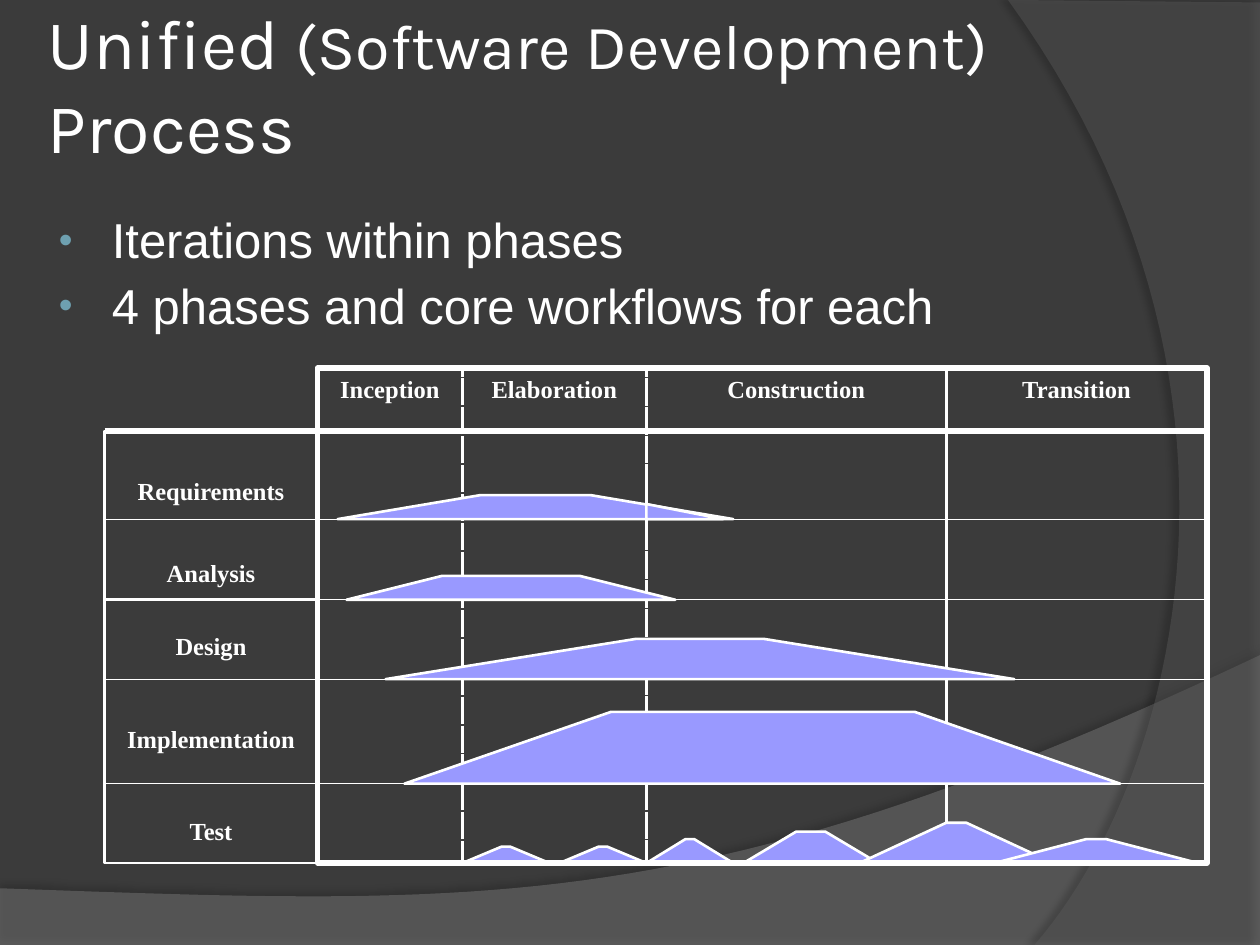
from lxml import etree
from pptx import Presentation
from pptx.dml.color import RGBColor
from pptx.enum.dml import MSO_LINE
from pptx.enum.shapes import MSO_CONNECTOR, MSO_SHAPE
from pptx.enum.text import MSO_ANCHOR, PP_ALIGN
from pptx.oxml.ns import qn
from pptx.util import Inches, Pt

RECTANGLE, TRIANGLE = MSO_SHAPE.RECTANGLE, MSO_SHAPE.RIGHT_TRIANGLE
STRAIGHT, LONG_DASH = MSO_CONNECTOR.STRAIGHT, MSO_LINE.LONG_DASH
MIDDLE, CENTER = MSO_ANCHOR.MIDDLE, PP_ALIGN.CENTER

THEME = {
    "background": "3B3B3B", "wave": "7F7F7F", "arc": "5E5E5E", "shadow": "000000",
    "ink": "FFFFFF", "bullet": "6EA0B0", "effort": "9999FF",
    "title_font": "Karla", "body_font": "Arial", "label_font": "Times New Roman",
    "title": 40, "title_small": 36, "body": 28, "label": 14,
    "hairline": 0.5, "line": 1.5, "frame": 3,
}

# Content
TITLE = [("Unified ", THEME["title"]),
         ("(Software Development) ", THEME["title_small"]),
         ("Process", THEME["title"])]
BULLETS = ["Iterations within phases", "4 phases and core workflows for each"]
PHASES = [("Inception", 1.15), ("Elaboration", 1.46),
          ("Construction", 2.38), ("Transition", 2.07)]
# Workflow boxes: names, top, bottom, inset above the text, gap between names
WORKFLOW_BOXES = [(["Requirements", "Analysis"], 3.42, 4.76, 0.36, 30),
                  (["Design", "Implementation", "Test"], 4.76, 6.85, 0.25, 36)]
ROW_BOTTOMS = [4.12, 4.76, 5.39, 6.22, 6.85]
# Effort humps: row, left foot, left shoulder, right shoulder, right foot, height
HUMPS = [
    (4, 5.9, 6.32, 6.55, 6.97, 0.25),
    (0, 2.68, 3.81, 4.69, 5.82, 0.19),
    (1, 2.75, 3.51, 4.6, 5.36, 0.19),
    (2, 3.06, 5.05, 6.06, 8.05, 0.32),
    (3, 3.21, 4.85, 7.26, 8.89, 0.57),
    (4, 3.67, 3.98, 4.05, 4.36, 0.13),
    (4, 4.44, 4.75, 4.82, 5.13, 0.13),
    (4, 5.13, 5.44, 5.51, 5.82, 0.19),
    (4, 6.82, 7.51, 7.67, 8.36, 0.32),
    (4, 7.89, 8.62, 8.78, 9.51, 0.19),
]
LABEL_LEFT, GRID_LEFT, GRID_RIGHT = 0.83, 2.52, 9.58
GRID_TOP, HEADER_BOTTOM, GRID_BOTTOM = 2.92, 3.42, 6.85


def color(name):
    return RGBColor.from_string(THEME[name])


def style(shape, fill=None, line=None, dash=None):
    shape.shadow.inherit = False
    if fill:
        shape.fill.solid()
        shape.fill.fore_color.rgb = color(fill)
    else:
        shape.fill.background()
    if line:
        shape.line.color.rgb = color("ink")
        shape.line.width = Pt(THEME[line])
        if dash:
            shape.line.dash_style = dash
    else:
        shape.line.fill.background()
    return shape


def add_box(slide, left, top, right, bottom, kind=RECTANGLE, **look):
    shape = slide.shapes.add_shape(kind, Inches(left), Inches(top),
                                   Inches(right - left), Inches(bottom - top))
    return style(shape, **look)


def add_outline(slide, points, **look):
    scaled = [(Inches(x), Inches(y)) for x, y in points]
    builder = slide.shapes.build_freeform(*scaled[0])
    builder.add_line_segments(scaled[1:], close=True)
    return style(builder.convert_to_shape(), **look)


def add_line(slide, start, end, width):
    line = slide.shapes.add_connector(STRAIGHT, *map(Inches, start + end))
    line.line.color.rgb = color("ink")
    line.line.width = Pt(THEME[width])
    etree.SubElement(line._element.spPr, qn("a:effectLst"))


def add_hump(slide, row, left, shoulder_left, shoulder_right, right, height):
    base = ROW_BOTTOMS[row]
    points = [(left, base), (shoulder_left, base - height),
              (shoulder_right, base - height), (right, base)]
    add_outline(slide, points, fill="effort", line="line")


def curve(start, control_1, control_2, end, steps=48):
    points = []
    for step in range(steps + 1):
        t = step / steps
        weights = ((1 - t) ** 3, 3 * t * (1 - t) ** 2, 3 * t * t * (1 - t), t ** 3)
        points.append(tuple(
            sum(w * p[axis] for w, p in zip(weights, (start, control_1, control_2, end)))
            for axis in (0, 1)))
    return points


def add_backdrop(slide, points, fill, opacity, shadow_opacity, distance, angle):
    shape = add_outline(slide, points, fill=fill)
    properties = shape._element.spPr
    fill_color = properties.find(qn("a:solidFill"))[0]
    etree.SubElement(fill_color, qn("a:alpha"), val=str(opacity * 1000))
    shadow = etree.SubElement(
        properties.find(qn("a:effectLst")), qn("a:outerShdw"), blurRad=str(Pt(4)),
        dist=str(Pt(distance)), dir=str(angle * 60000), algn="ctr", rotWithShape="0")
    shade = etree.SubElement(shadow, qn("a:srgbClr"), val=THEME["shadow"])
    etree.SubElement(shade, qn("a:alpha"), val=str(shadow_opacity * 1000))


def add_bullet(paragraph):
    properties = paragraph._p.get_or_add_pPr()
    properties.set("marL", str(Inches(0.46)))
    properties.set("indent", str(Inches(-0.42)))
    holder = etree.SubElement(properties, qn("a:buClr"))
    etree.SubElement(holder, qn("a:srgbClr"), val=THEME["bullet"])
    etree.SubElement(properties, qn("a:buSzPct"), val="80000")
    etree.SubElement(properties, qn("a:buFont"), typeface=THEME["body_font"])
    etree.SubElement(properties, qn("a:buChar"), char="•")


def write(shape, paragraphs, font, bold=False, align=None, anchor=MSO_ANCHOR.TOP, wrap=True,
          inset_top=0.05, inset_side=0.1, gap=0, spacing=None, bullets=False):
    """Each paragraph is a list of (text, size) runs."""
    frame = shape.text_frame
    frame.word_wrap, frame.vertical_anchor = wrap, anchor
    frame.margin_top = Inches(inset_top)
    frame.margin_left = frame.margin_right = Inches(inset_side)
    for index, runs in enumerate(paragraphs):
        paragraph = frame.add_paragraph() if index else frame.paragraphs[0]
        paragraph.alignment = align
        if spacing:
            paragraph.line_spacing = spacing
        if index and gap:
            paragraph.space_before = Pt(gap)
        if bullets:
            add_bullet(paragraph)
        for text, size in runs:
            run = paragraph.add_run()
            run.text = text
            run.font.name, run.font.size, run.font.bold = THEME[font], Pt(size), bold
            run.font.color.rgb = color("ink")


def write_labels(shape, names, **layout):
    write(shape, [[(name, THEME["label"])] for name in names], "label_font",
          bold=True, align=CENTER, wrap=False, **layout)


def main():
    presentation = Presentation()
    presentation.slide_width, presentation.slide_height = Inches(10), Inches(7.5)
    slide = presentation.slides.add_slide(presentation.slide_layouts[6])
    slide.background.fill.solid()
    slide.background.fill.fore_color.rgb = color("background")

    # Backdrop curves
    wave = curve((10, 5.2), (5.59, 7.29), (3.91, 7.19), (0, 7.05))
    add_backdrop(slide, wave + [(0, 7.5), (10, 7.5)], "wave", 45, 35, 3.5, 270)
    arc = curve((8.21, 7.5), (9.35, 6.19), (10.18, 3), (8, 0))
    add_backdrop(slide, arc + [(10, 0.02), (10, 7.5)], "arc", 40, 45, 4, 180)

    # Title and bullets
    title = slide.shapes.add_textbox(Inches(0.33), Inches(0.25), Inches(9.33), Inches(0.83))
    write(title, [TITLE], "title_font", anchor=MIDDLE, inset_side=0.05)
    body = slide.shapes.add_textbox(Inches(0.33), Inches(1.67), Inches(9.3), Inches(1.33))
    write(body, [[(text, THEME["body"])] for text in BULLETS], "body_font",
          gap=7, spacing=0.9, bullets=True)

    # Workflow names and row rules
    for names, top, bottom, inset, gap in WORKFLOW_BOXES:
        box = add_box(slide, LABEL_LEFT, top, GRID_LEFT, bottom, line="line")
        write_labels(box, names, inset_top=inset, gap=gap)
    for y in ROW_BOTTOMS:
        add_line(slide, (LABEL_LEFT, y), (GRID_RIGHT, y), "hairline")
    add_line(slide, (LABEL_LEFT, HEADER_BOTTOM), (GRID_RIGHT, HEADER_BOTTOM), "frame")

    # Phase columns, with the first hump behind them
    add_hump(slide, *HUMPS[0])
    left = GRID_LEFT
    for name, width in PHASES:
        column = add_box(slide, left, GRID_TOP, left + width, GRID_BOTTOM,
                         line="line", dash=LONG_DASH)
        write_labels(column, [name])
        left += width

    # Effort humps and outer frame
    for hump in HUMPS[1:]:
        add_hump(slide, *hump)
    add_box(slide, GRID_LEFT, GRID_TOP, GRID_RIGHT, GRID_BOTTOM, line="frame")

    # Requirements tail after the start of construction
    add_line(slide, (5.13, 3.87), (5.13, 4.25), "line")
    add_box(slide, 5.13, 4, 5.74, 4.12, kind=TRIANGLE, fill="effort", line="line")

    presentation.save("out.pptx")


if __name__ == "__main__":
    main()
